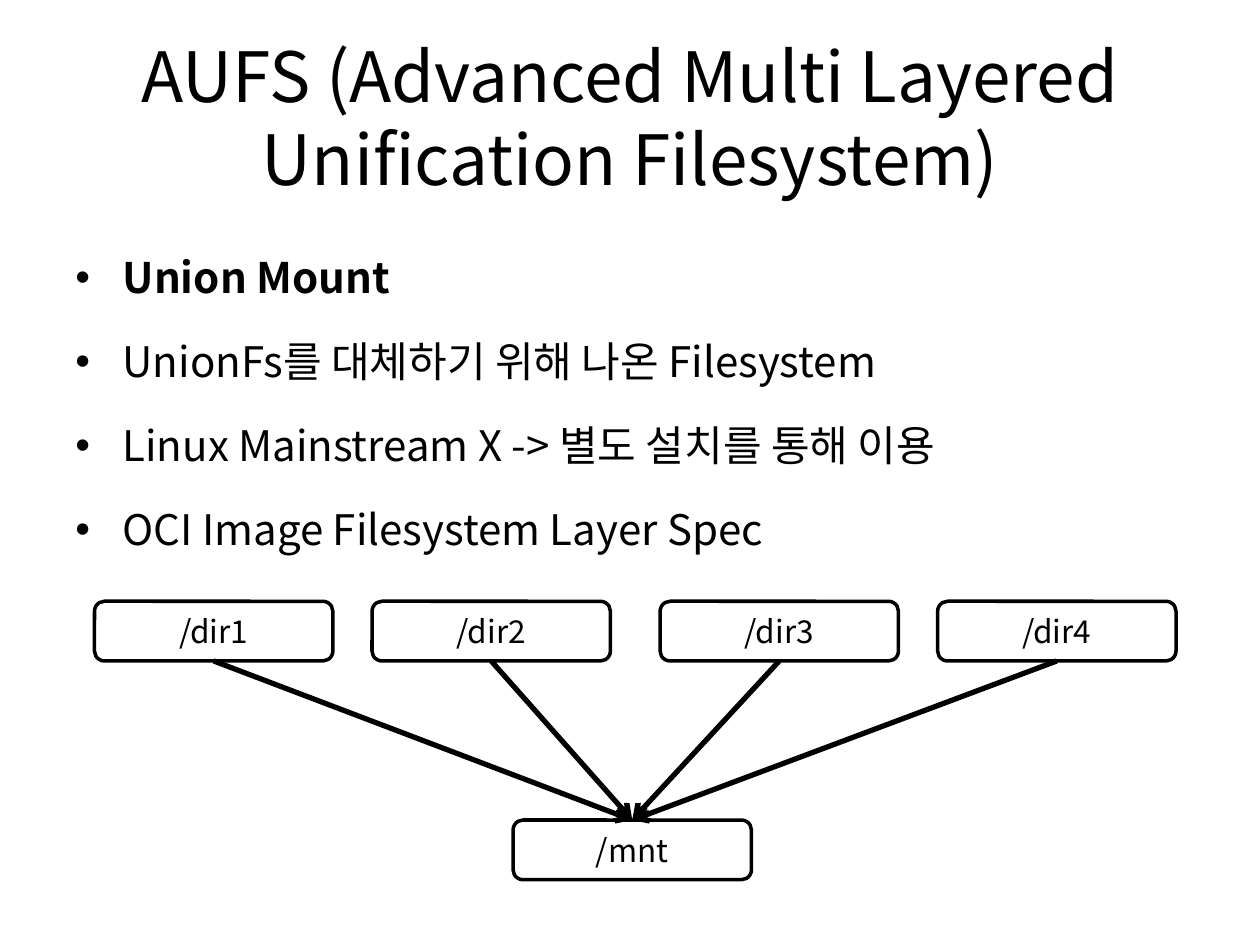
from pptx import Presentation
from pptx.dml.color import RGBColor
from pptx.enum.shapes import MSO_CONNECTOR, MSO_SHAPE
from pptx.enum.text import MSO_ANCHOR, MSO_AUTO_SIZE, PP_ALIGN
from pptx.oxml.ns import qn
from pptx.util import Pt
from lxml.etree import SubElement

BLACK = RGBColor(0, 0, 0)
WHITE = RGBColor(255, 255, 255)
FONT = "Noto Sans CJK KR"


def write(para, text, size, bold=False, align=PP_ALIGN.LEFT):
    para.alignment = align
    span = para.add_run()
    span.text = text
    span.font.size = Pt(size)
    span.font.bold = bold
    span.font.name = FONT
    span.font.color.rgb = BLACK
    SubElement(span.font._element, qn("a:ea"), typeface=FONT)


def add_node(page, text, left, top):
    node = page.shapes.add_shape(
        MSO_SHAPE.ROUNDED_RECTANGLE, Pt(left), Pt(top), Pt(136.2), Pt(34.1))
    node.shadow.inherit = False
    node.fill.solid()
    node.fill.fore_color.rgb = WHITE
    node.line.color.rgb = BLACK
    node.line.width = Pt(2)
    node.text_frame.vertical_anchor = MSO_ANCHOR.MIDDLE
    write(node.text_frame.paragraphs[0], text, 18, align=PP_ALIGN.CENTER)
    return node


deck = Presentation()
deck.slide_width, deck.slide_height = Pt(720), Pt(540)
page = deck.slides.add_slide(deck.slide_layouts[5])

# Title
title = page.shapes.title
title.left, title.top, title.width, title.height = Pt(36), Pt(21.6), Pt(648), Pt(90)
title.text_frame.auto_size = MSO_AUTO_SIZE.NONE
title.text_frame.vertical_anchor = MSO_ANCHOR.MIDDLE
write(title.text_frame.paragraphs[0],
      "AUFS (Advanced Multi Layered Unification Filesystem)", 39.6,
      align=PP_ALIGN.CENTER)

# Bullet list
points = [
    "Union Mount",
    "UnionFs를 대체하기 위해 나온 Filesystem",
    "Linux Mainstream X -> 별도 설치를 통해 이용",
    "OCI Image Filesystem Layer Spec",
]
body = page.shapes.add_textbox(Pt(36), Pt(126), Pt(648), Pt(356.4))
body.text_frame.word_wrap = True
for index, point in enumerate(points):
    para = body.text_frame.paragraphs[0] if index == 0 else body.text_frame.add_paragraph()
    para.line_spacing = 1.5
    if index:
        para.space_before = Pt(4.8)
    properties = para._p.get_or_add_pPr()
    properties.set("marL", str(Pt(27)))
    properties.set("indent", str(Pt(-27)))
    SubElement(properties, qn("a:buFont"), typeface="Arial")
    SubElement(properties, qn("a:buChar"), char="•")
    write(para, point, 24, bold=index == 0)

# Directories and the shared mount point
lefts = [54, 212.6, 377.2, 535.8]
directories = [add_node(page, f"/dir{number}", left, 343.6)
               for number, left in enumerate(lefts, 1)]
mount = add_node(page, "/mnt", 293.2, 468.6)

# Arrows from each directory to the mount point
for directory in directories:
    arrow = page.shapes.add_connector(MSO_CONNECTOR.STRAIGHT, 0, 0, 0, 0)
    arrow.begin_connect(directory, 2)
    arrow.end_connect(mount, 0)
    arrow.line.color.rgb = BLACK
    arrow.line.width = Pt(3)
    SubElement(arrow.line._get_or_add_ln(), qn("a:tailEnd"), type="arrow")
    SubElement(arrow._element.spPr, qn("a:effectLst"))

deck.save("out.pptx")
